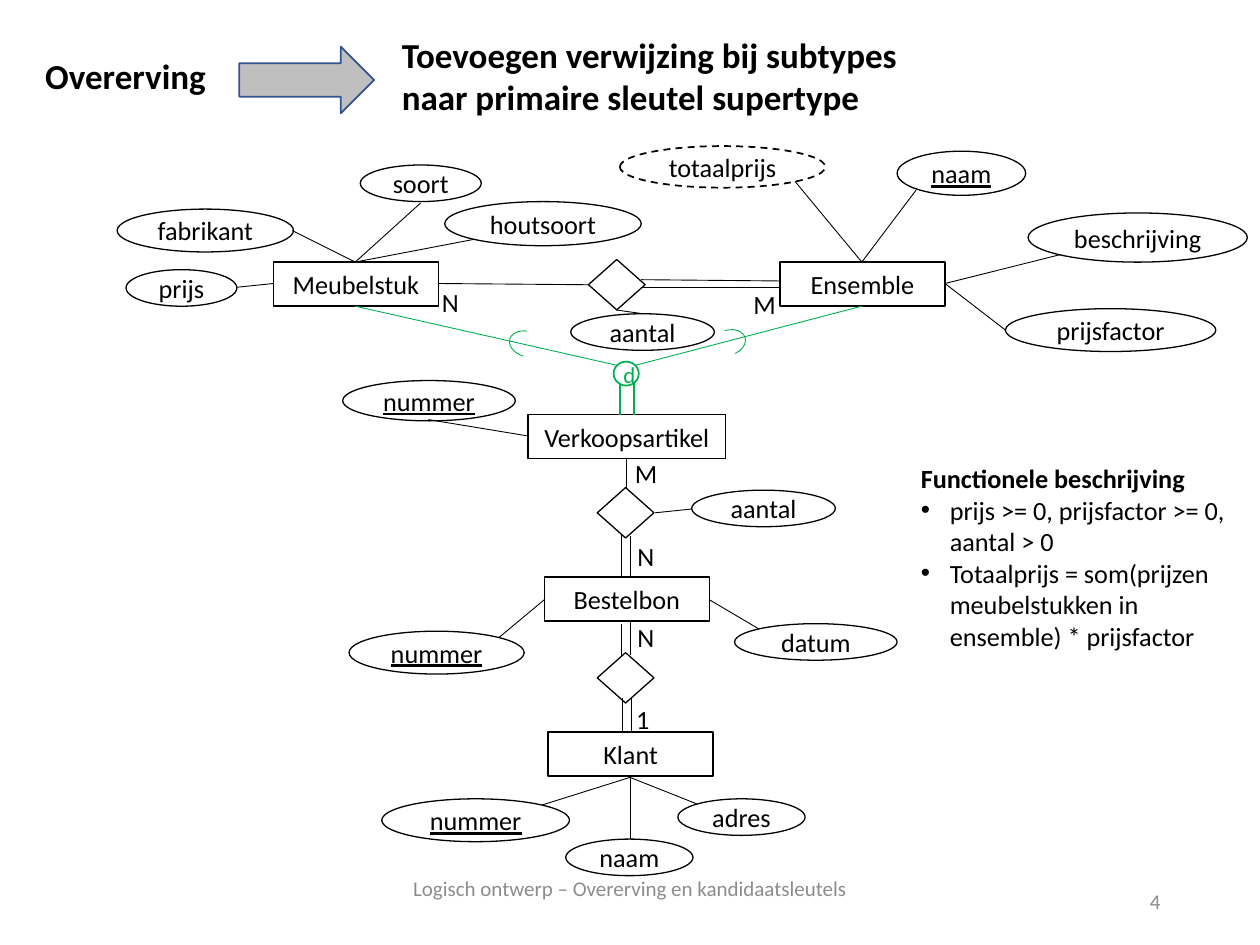
from dataclasses import dataclass
from typing import Optional

from lxml.etree import SubElement
from pptx import Presentation
from pptx.dml.color import RGBColor
from pptx.enum.dml import MSO_LINE_DASH_STYLE as Dash
from pptx.enum.shapes import MSO_CONNECTOR, MSO_SHAPE as Preset
from pptx.enum.text import MSO_ANCHOR as Anchor, MSO_AUTO_SIZE as AutoSize, PP_ALIGN as Align
from pptx.oxml.ns import qn
from pptx.util import Inches, Pt

COLORS = {
    "ink": "000000", "paper": "FFFFFF", "inherit": "00B050",
    "arrow": "BFBFBF", "arrow_edge": "325491", "footer": "8C8C8C",
}
FONT = "Calibri"
BODY_SIZE = 15
BOX_HEIGHT = 0.35


@dataclass
class Entity:
    name: str
    left: float
    top: float
    width: float = 1.31


@dataclass
class Attribute:
    name: str
    left: float
    top: float
    width: float
    height: float = 0.29
    key: bool = False
    derived: bool = False


@dataclass
class Label:
    text: str
    left: float
    top: float
    width: float
    height: float = BOX_HEIGHT
    size: float = BODY_SIZE
    bold: bool = False
    color: str = "ink"
    align: Align = Align.LEFT
    wrap: bool = True


ENTITIES = [
    Entity("Meubelstuk", 2.17, 2.08), Entity("Ensemble", 6.19, 2.08),
    Entity("Verkoopsartikel", 4.19, 3.29, 1.57),
    Entity("Bestelbon", 4.32, 4.58), Entity("Klant", 4.35, 5.81),
]
ATTRIBUTES = [
    Attribute("soort", 2.86, 1.31, 0.96), Attribute("houtsoort", 3.53, 1.6, 1.56, 0.35),
    Attribute("fabrikant", 0.93, 1.66, 1.4, 0.34), Attribute("prijs", 1, 2.14, 0.88),
    Attribute("totaalprijs", 4.92, 1.16, 1.63, 0.33, derived=True),
    Attribute("naam", 7.12, 1.2, 1.02, 0.35, key=True),
    Attribute("beschrijving", 8.16, 1.69, 1.74, 0.39),
    Attribute("prijsfactor", 7.98, 2.45, 1.67, 0.34),
    Attribute("aantal", 4.53, 2.49, 1.14), Attribute("aantal", 5.49, 3.89, 1.14),
    Attribute("nummer", 2.72, 3.02, 1.37, 0.32, key=True),
    Attribute("nummer", 2.77, 5.01, 1.39, 0.34, key=True),
    Attribute("datum", 5.83, 4.95, 1.29),
    Attribute("nummer", 3.03, 6.34, 1.49, 0.34, key=True),
    Attribute("naam", 4.49, 6.66, 1.01), Attribute("adres", 5.38, 6.34, 1.01),
]
RELATIONSHIPS = [(4.67, 2.06), (4.74, 3.87), (4.74, 5.18)]
ATTRIBUTE_LINES = [
    (3.34, 1.61, 2.82, 2.08), (3.76, 1.9, 2.82, 2.08), (2.32, 1.83, 2.82, 2.08),
    (1.88, 2.28, 2.17, 2.25), (6.31, 1.44, 6.84, 2.08), (7.27, 1.51, 6.84, 2.08),
    (8.42, 2.02, 7.5, 2.25), (7.98, 2.62, 7.5, 2.25), (5.1, 2.49, 4.89, 2.46),
    (5.49, 4.04, 5.2, 4.07), (4.19, 3.46, 3.4, 3.33), (4.32, 4.76, 3.96, 5.06),
    (5.63, 4.76, 6.02, 4.99), (4.3, 6.39, 5, 6.17), (5, 6.66, 5, 6.17),
    (5.53, 6.38, 5, 6.17),
]
RELATION_LINES = [
    (3.48, 2.25, 4.67, 2.26), (5.09, 2.22, 6.19, 2.23), (5.09, 2.28, 6.19, 2.28),
    (4.97, 3.87, 4.97, 3.64), (5, 4.59, 5, 4.25), (4.93, 4.59, 4.93, 4.24),
    (4.93, 4.95, 4.93, 5.21), (5, 4.94, 5, 5.2),
    (4.94, 5.8, 4.94, 5.54), (5.01, 5.8, 5.01, 5.54),
]
LABELS = [
    # Cardinalities
    Label("N", 3.41, 2.22, 0.34, wrap=False), Label("M", 5.88, 2.24, 0.38, wrap=False),
    Label("M", 4.94, 3.58, 0.38, wrap=False), Label("N", 4.96, 4.24, 0.34, wrap=False),
    Label("N", 4.96, 4.88, 0.34, wrap=False), Label("1", 4.95, 5.53, 0.31, wrap=False),
    # Titles
    Label("Overerving", 0.26, 0.38, 1.64, 0.44, 20, True),
    Label("Toevoegen verwijzing bij subtypes naar primaire sleutel supertype",
          3.09, 0.22, 4.21, 0.77, 20, True),
]
RULES = [
    "prijs >= 0, prijsfactor >= 0, aantal > 0",
    "Totaalprijs = som(prijzen meubelstukken in ensemble) * prijsfactor",
]


def rgb(name: str) -> RGBColor:
    return RGBColor.from_string(COLORS[name])


def add_text(para, text: str, size: float = BODY_SIZE, color: str = "ink",
             bold: bool = False, underline: bool = False) -> None:
    span = para.add_run()
    span.text = text
    font = span.font
    font.name, font.size, font.bold = FONT, Pt(size), bold
    font.color.rgb = rgb(color)
    if underline:
        font.underline = True


def add_outline(slide, preset, left: float, top: float, width: float, height: float,
                line: str = "ink", weight: float = 0.75, fill: Optional[str] = None):
    shape = slide.shapes.add_shape(preset, Inches(left), Inches(top),
                                   Inches(width), Inches(height))
    shape.shadow.inherit = False
    if fill:
        shape.fill.solid()
        shape.fill.fore_color.rgb = rgb(fill)
    else:
        shape.fill.background()
    shape.line.color.rgb = rgb(line)
    shape.line.width = Pt(weight)
    return shape


def add_line(slide, ends: tuple, color: str = "ink", weight: float = 0.5) -> None:
    line = slide.shapes.add_connector(MSO_CONNECTOR.STRAIGHT, *[Inches(n) for n in ends])
    line.line.color.rgb = rgb(color)
    line.line.width = Pt(weight)
    SubElement(line._element.spPr, qn("a:effectLst"))


def add_entity(slide, entity: Entity) -> None:
    box = add_outline(slide, Preset.RECTANGLE, entity.left, entity.top,
                      entity.width, BOX_HEIGHT)
    box.text_frame.vertical_anchor = Anchor.TOP
    para = box.text_frame.paragraphs[0]
    para.alignment = Align.CENTER
    add_text(para, entity.name)


def add_attribute(slide, item: Attribute) -> None:
    oval = add_outline(slide, Preset.OVAL, item.left, item.top, item.width, item.height,
                       weight=1 if item.derived else 0.75, fill="paper")
    if item.derived:
        oval.line.dash_style = Dash.DASH
    frame = oval.text_frame
    frame.margin_left = frame.margin_right = 0
    frame.vertical_anchor = Anchor.MIDDLE
    para = frame.paragraphs[0]
    para.alignment = Align.CENTER
    add_text(para, item.name, underline=item.key)


def add_label(slide, label: Label):
    box = slide.shapes.add_textbox(Inches(label.left), Inches(label.top),
                                   Inches(label.width), Inches(label.height))
    frame = box.text_frame
    frame.word_wrap = label.wrap
    frame.auto_size = AutoSize.NONE
    para = frame.paragraphs[0]
    para.alignment = label.align
    add_text(para, label.text, label.size, label.color, label.bold)
    return frame


def add_bullet(frame, text: str) -> None:
    para = frame.add_paragraph()
    props = para._p.get_or_add_pPr()
    props.set("marL", str(Inches(0.23)))
    props.set("indent", str(-Inches(0.23)))
    SubElement(props, qn("a:buFont"), typeface="Arial")
    SubElement(props, qn("a:buChar"), char="•")
    add_text(para, text)


def main() -> None:
    deck = Presentation()
    deck.slide_width, deck.slide_height = Inches(10), Inches(7.5)
    slide = deck.slides.add_slide(deck.slide_layouts[6])

    # Entities, attributes and relationships
    for entity in ENTITIES:
        add_entity(slide, entity)
    for item in ATTRIBUTES:
        add_attribute(slide, item)
    for left, top in RELATIONSHIPS:
        add_outline(slide, Preset.DIAMOND, left, top, 0.45, 0.4, fill="paper")
    for ends in ATTRIBUTE_LINES + RELATION_LINES:
        add_line(slide, ends)

    # Disjoint inheritance
    add_outline(slide, Preset.OVAL, 4.87, 2.87, 0.2, 0.19, "inherit", 1)
    for ends in [(2.82, 2.43, 4.9, 2.9), (5.04, 2.9, 6.84, 2.43)]:
        add_line(slide, ends, "inherit")
    for x in (4.92, 5.03):
        add_line(slide, (x, 3.29, x, 3.04), "inherit", 1)
    for left, top, angle in [(4.04, 2.63, 196.4), (5.64, 2.62, 343.2)]:
        arc = add_outline(slide, Preset.ARC, left, top, 0.28, 0.2, "inherit", 0.5)
        arc.adjustments[0], arc.adjustments[1] = 162, 44.44
        arc.rotation = angle
    disjoint = add_label(slide, Label("d", 4.91, 2.81, 0.17, 0.32, 13,
                                      color="inherit", align=Align.CENTER))
    disjoint.margin_left = disjoint.margin_right = 0

    # Titles, cardinalities and arrow
    add_outline(slide, Preset.RIGHT_ARROW, 1.9, 0.37, 1.07, 0.53, "arrow_edge", 1, "arrow")
    for label in LABELS:
        add_label(slide, label)

    # Functional description
    description = add_label(slide, Label("Functionele beschrijving", 7.21, 3.62,
                                         2.7, 1.62, bold=True))
    for rule in RULES:
        add_bullet(description, rule)

    # Footer and page number
    footer = add_label(slide, Label("Logisch ontwerp – Overerving en kandidaatsleutels",
                                    3.01, 6.95, 3.98, 0.4, 12, color="footer",
                                    align=Align.CENTER))
    footer.margin_top = 0
    number = add_label(slide, Label("4", 7.06, 6.95, 2.25, 0.4, 12, color="footer",
                                    align=Align.RIGHT))
    number.vertical_anchor = Anchor.MIDDLE

    deck.save("out.pptx")


if __name__ == "__main__":
    main()
